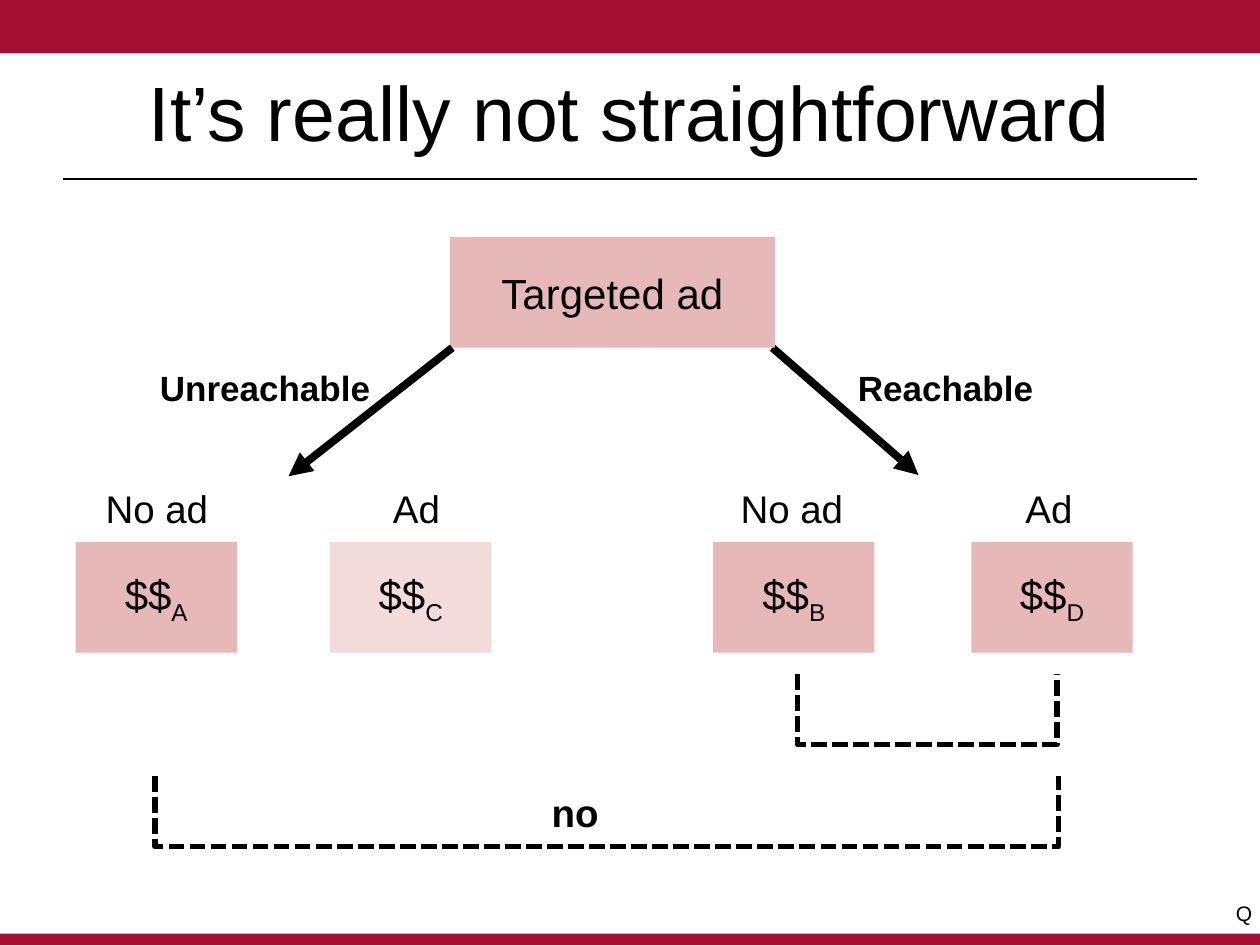
import dataclasses

import pptx
import pptx.dml.color
import pptx.enum.dml
import pptx.enum.shapes
import pptx.enum.text
import pptx.oxml.ns
import pptx.util
from lxml import etree
from pptx.util import Inches


@dataclasses.dataclass(frozen=True)
class Theme:
    font: str = "Arial"
    ink: str = "000000"
    band: str = "A41034"
    box: str = "E6B9B8"
    pale_box: str = "F2DCDB"
    title_size: int = 44
    box_size: int = 24
    label_size: int = 22
    branch_size: int = 20
    note_size: int = 12
    rule_width: float = 1.25
    bracket_width: float = 3
    arrow_width: float = 4.5


class Slide:
    def __init__(self, slide, theme):
        self.shapes = slide.shapes
        self.theme = theme

    def color(self, code):
        return pptx.dml.color.RGBColor.from_string(code)

    def style_runs(self, paragraph, size, bold=False):
        for run in paragraph.runs:
            run.font.name = self.theme.font
            run.font.size = pptx.util.Pt(size)
            run.font.bold = bold
            run.font.color.rgb = self.color(self.theme.ink)

    def rect(self, left, top, width, height, fill):
        rect = self.shapes.add_shape(
            pptx.enum.shapes.MSO_SHAPE.RECTANGLE,
            Inches(left), Inches(top), Inches(width), Inches(height))
        rect.shadow.inherit = False
        rect.fill.solid()
        rect.fill.fore_color.rgb = self.color(fill)
        rect.line.fill.background()
        return rect

    def box(self, left, top, width, height, fill, text, subscript=""):
        frame = self.rect(left, top, width, height, fill).text_frame
        frame.margin_left = frame.margin_right = Inches(0.1)
        frame.margin_top = frame.margin_bottom = Inches(0.1)
        frame.vertical_anchor = pptx.enum.text.MSO_ANCHOR.MIDDLE
        frame.text = text
        paragraph = frame.paragraphs[0]
        paragraph.alignment = pptx.enum.text.PP_ALIGN.CENTER
        if subscript:
            run = paragraph.add_run()
            run.text = subscript
            run.font._element.set("baseline", "-25000")
        self.style_runs(paragraph, self.theme.box_size)

    def title(self, text):
        frame = self.shapes.add_textbox(
            Inches(0.5), Inches(0.25), Inches(9), Inches(1.25)).text_frame
        frame.word_wrap = True
        frame.vertical_anchor = pptx.enum.text.MSO_ANCHOR.MIDDLE
        frame.text = text
        frame.paragraphs[0].alignment = pptx.enum.text.PP_ALIGN.CENTER
        self.style_runs(frame.paragraphs[0], self.theme.title_size)

    def label(self, left, top, width, height, text, size, bold=False):
        frame = self.shapes.add_textbox(
            Inches(left), Inches(top), Inches(width), Inches(height)).text_frame
        frame.word_wrap = False
        frame.auto_size = pptx.enum.text.MSO_AUTO_SIZE.SHAPE_TO_FIT_TEXT
        frame.text = text
        self.style_runs(frame.paragraphs[0], size, bold)

    def line(self, start, end, width, arrow=False):
        connector = self.shapes.add_connector(
            pptx.enum.shapes.MSO_CONNECTOR.STRAIGHT,
            *(Inches(value) for value in (*start, *end)))
        connector.line.color.rgb = self.color(self.theme.ink)
        connector.line.width = pptx.util.Pt(width)
        qn = pptx.oxml.ns.qn
        if arrow:
            etree.SubElement(connector.line._get_or_add_ln(),
                             qn("a:tailEnd"), type="triangle")
        etree.SubElement(connector._element.spPr, qn("a:effectLst"))

    def bracket(self, left, right, top, depth):
        """Draw a dashed outline that opens upwards."""
        builder = self.shapes.build_freeform(Inches(left), Inches(top))
        bottom = top + depth
        corners = [(left, bottom), (right, bottom), (right, top)]
        builder.add_line_segments(
            [(Inches(x), Inches(y)) for x, y in corners], close=False)
        outline = builder.convert_to_shape()
        outline.shadow.inherit = False
        outline.fill.background()
        outline.line.color.rgb = self.color(self.theme.ink)
        outline.line.width = pptx.util.Pt(self.theme.bracket_width)
        outline.line.dash_style = pptx.enum.dml.MSO_LINE.SQUARE_DOT


def main():
    deck = pptx.Presentation()
    deck.slide_width, deck.slide_height = Inches(10), Inches(7.5)
    theme = Theme()
    slide = Slide(deck.slides.add_slide(deck.slide_layouts[6]), theme)

    slide.rect(0, 0, 10, 0.42, theme.band)
    slide.rect(0, 7.41, 10, 0.09, theme.band)
    slide.line((0.5, 1.42), (9.5, 1.42), theme.rule_width)
    slide.title("It’s really not straightforward")

    slide.line((6.13, 2.76), (7.29, 3.77), theme.arrow_width, arrow=True)
    slide.box(3.57, 1.88, 2.58, 0.88, theme.box, "Targeted ad")
    slide.line((3.59, 2.76), (2.29, 3.78), theme.arrow_width, arrow=True)
    for branch, left, width in [("Unreachable", 1.17, 1.89),
                                ("Reachable", 6.71, 1.61)]:
        slide.label(left, 2.86, width, 0.44, branch, theme.branch_size, bold=True)

    label_widths = {"No ad": 1.03, "Ad": 0.58}
    outcomes = [
        ("No ad", "A", 0.6, 0.74, theme.box),
        ("Ad", "C", 2.62, 3.02, theme.pale_box),
        ("No ad", "B", 5.66, 5.78, theme.box),
        ("Ad", "D", 7.71, 8.04, theme.box),
    ]
    for treatment, group, box_left, label_left, fill in outcomes:
        slide.box(box_left, 4.3, 1.28, 0.88, fill, "$$", group)
        slide.label(label_left, 3.8, label_widths[treatment], 0.47,
                    treatment, theme.label_size)

    slide.bracket(6.33, 8.39, top=5.35, depth=0.56)
    slide.bracket(1.23, 8.4, top=6.16, depth=0.56)
    slide.label(4.28, 6.21, 0.58, 0.47, "no", theme.label_size, bold=True)
    slide.label(9.71, 7.1, 0.33, 0.3, "Q", theme.note_size)

    deck.save("out.pptx")


if __name__ == "__main__":
    main()
